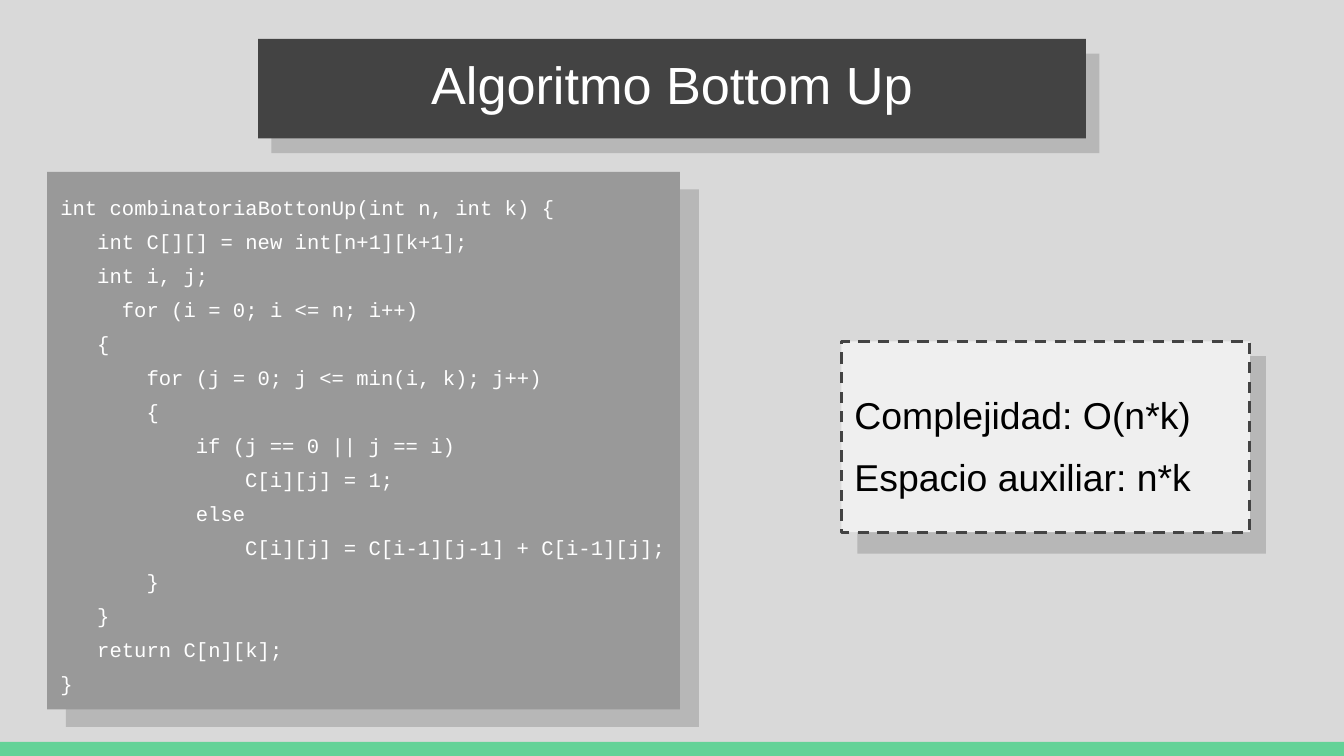
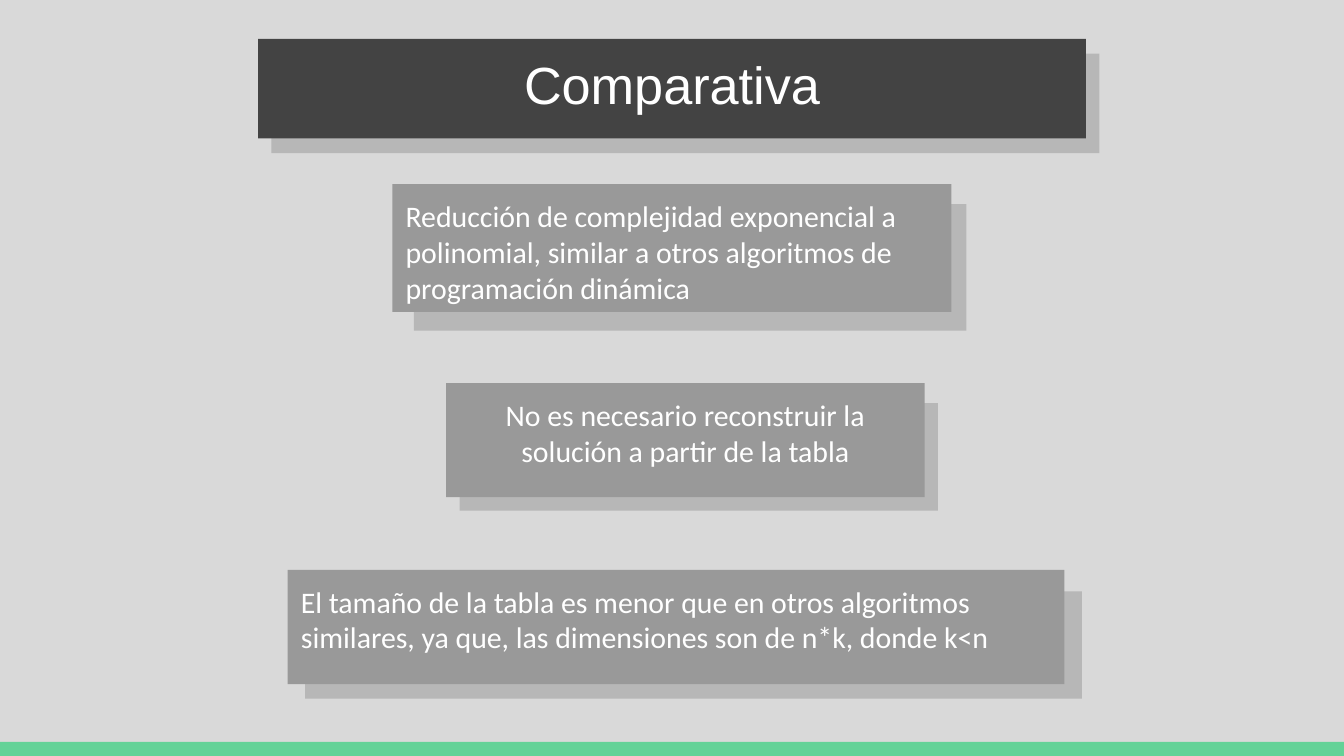
"""Build two slides on a bottom-up algorithm and its comparison."""
from dataclasses import dataclass
from typing import Optional

from pptx import Presentation
from pptx.dml.color import RGBColor
from pptx.enum.dml import MSO_LINE
from pptx.enum.shapes import MSO_SHAPE
from pptx.enum.text import MSO_ANCHOR, PP_ALIGN
from pptx.util import Inches, Pt

RECTANGLE = MSO_SHAPE.RECTANGLE
DASH = MSO_LINE.DASH
TOP, MIDDLE = MSO_ANCHOR.TOP, MSO_ANCHOR.MIDDLE
LEFT, CENTER = PP_ALIGN.LEFT, PP_ALIGN.CENTER


@dataclass(frozen=True)
class Theme:
    background: str = "D9D9D9"
    accent: str = "63D297"
    shadow: str = "B7B7B7"
    dark: str = "434343"
    panel: str = "999999"
    pale: str = "EFEFEF"
    white: str = "FFFFFF"
    black: str = "000000"
    title_size: int = 28
    result_size: int = 20
    body_size: int = 16
    code_size: int = 11
    loose: float = 1.38
    border: float = 1.5
    inset: float = 0.1


THEME = Theme()
CODE_CHARACTER = 0.6 * THEME.code_size / 72


@dataclass(frozen=True)
class Area:
    left: float
    top: float
    width: float
    height: float


@dataclass(frozen=True)
class Style:
    fill: str
    color: str
    font: str
    size: int
    align: PP_ALIGN = LEFT
    anchor: MSO_ANCHOR = TOP
    spacing: float = 1.0
    border: Optional[str] = None


@dataclass(frozen=True)
class Line:
    text: str
    indent: int = 0


@dataclass(frozen=True)
class Card:
    area: Area
    shadow: Area
    style: Style
    lines: tuple[Line, ...]


TITLE = Style(THEME.dark, THEME.white, "Arial", THEME.title_size, CENTER)
CODE = Style(THEME.panel, THEME.white, "Courier New", THEME.code_size,
             spacing=THEME.loose)
RESULT = Style(THEME.pale, THEME.black, "Arial", THEME.result_size, anchor=MIDDLE,
               spacing=THEME.loose, border=THEME.dark)
BODY = Style(THEME.panel, THEME.white, "Calibri", THEME.body_size)
BODY_CENTERED = Style(THEME.panel, THEME.white, "Calibri", THEME.body_size, CENTER)

CODE_LINES = (
    Line("int combinatoriaBottonUp(int n, int k) {"),
    Line("int C[][] = new int[n+1][k+1];", 3),
    Line("int i, j;", 3),
    Line("for (i = 0; i <= n; i++)", 5),
    Line("{", 3),
    Line("for (j = 0; j <= min(i, k); j++)", 7),
    Line("{", 7),
    Line("if (j == 0 || j == i)", 11),
    Line("C[i][j] = 1;", 15),
    Line("else", 11),
    Line("C[i][j] = C[i-1][j-1] + C[i-1][j];", 15),
    Line("}", 7),
    Line("}", 3),
    Line("return C[n][k];", 3),
    Line("}"),
)

SLIDES = {
    "Algoritmo Bottom Up": (
        Card(Area(0.35, 1.28, 4.71, 4), Area(0.49, 1.41, 4.71, 4), CODE, CODE_LINES),
        Card(Area(6.26, 2.54, 3.04, 1.42), Area(6.38, 2.65, 3.04, 1.47), RESULT,
             (Line("Complejidad: O(n*k)"), Line("Espacio auxiliar: n*k"))),
    ),
    "Comparativa": (
        Card(Area(2.92, 1.37, 4.16, 0.95), Area(3.08, 1.52, 4.11, 0.94), BODY,
             (Line("Reducción de complejidad exponencial a polinomial, "
                   "similar a otros algoritmos de programación dinámica"),)),
        Card(Area(3.32, 2.85, 3.56, 0.85), Area(3.42, 3, 3.56, 0.8), BODY_CENTERED,
             (Line("No es necesario reconstruir la solución a partir de la tabla"),)),
        Card(Area(2.14, 4.24, 5.78, 0.85), Area(2.27, 4.4, 5.78, 0.8), BODY,
             (Line("El tamaño de la tabla es menor que en otros algoritmos similares, "
                   "ya que, las dimensiones son de n*k, donde k<n"),)),
    ),
}


def apply(target: object, values: dict) -> None:
    """Set each named attribute on the target."""
    for name, value in values.items():
        setattr(target, name, value)


def paint(fill: object, color: str) -> None:
    """Give a fill one solid colour."""
    fill.solid()
    fill.fore_color.rgb = RGBColor.from_string(color)


def draw_rectangle(slide: object, area: Area, color: str) -> object:
    """Draw a flat rectangle without an outline."""
    box = slide.shapes.add_shape(RECTANGLE, Inches(area.left), Inches(area.top),
                                 Inches(area.width), Inches(area.height))
    box.shadow.inherit = False
    paint(box.fill, color)
    box.line.fill.background()
    return box


def write_lines(box: object, lines: tuple[Line, ...], style: Style) -> None:
    """Write one styled paragraph per line into a box."""
    frame = box.text_frame
    sides = ("left", "top", "right", "bottom")
    apply(frame, {f"margin_{side}": Inches(THEME.inset) for side in sides})
    apply(frame, {"word_wrap": True, "vertical_anchor": style.anchor})
    for index, line in enumerate(lines):
        para = frame.add_paragraph() if index else frame.paragraphs[0]
        apply(para, {"alignment": style.align, "line_spacing": style.spacing})
        if line.indent:
            margin = Inches(line.indent * CODE_CHARACTER)
            para._p.get_or_add_pPr().set("marL", str(margin))
        span = para.add_run()
        span.text = line.text
        apply(span.font, {"name": style.font, "size": Pt(style.size)})
        span.font.color.rgb = RGBColor.from_string(style.color)


def draw_card(slide: object, card: Card) -> None:
    """Draw a text panel over its offset backing."""
    draw_rectangle(slide, card.shadow, THEME.shadow)
    box = draw_rectangle(slide, card.area, card.style.fill)
    if card.style.border:
        paint(box.line.fill, card.style.border)
        apply(box.line, {"width": Pt(THEME.border), "dash_style": DASH})
    write_lines(box, card.lines, card.style)


def add_slide(deck: object, title: str, cards: tuple[Card, ...]) -> None:
    """Add a slide with the shared band, title and its cards."""
    slide = deck.slides.add_slide(deck.slide_layouts[6])
    paint(slide.background.fill, THEME.background)
    draw_rectangle(slide, Area(0, 5.52, 10, 0.11), THEME.accent)
    heading = Card(Area(1.92, 0.29, 6.16, 0.74), Area(2.02, 0.4, 6.16, 0.74),
                   TITLE, (Line(title),))
    for card in (heading, *cards):
        draw_card(slide, card)


def main() -> None:
    """Build and save the deck."""
    deck = Presentation()
    apply(deck, {"slide_width": Inches(10), "slide_height": Inches(10) * 9 // 16})
    for title, cards in SLIDES.items():
        add_slide(deck, title, cards)
    deck.save("out.pptx")


if __name__ == "__main__":
    main()
